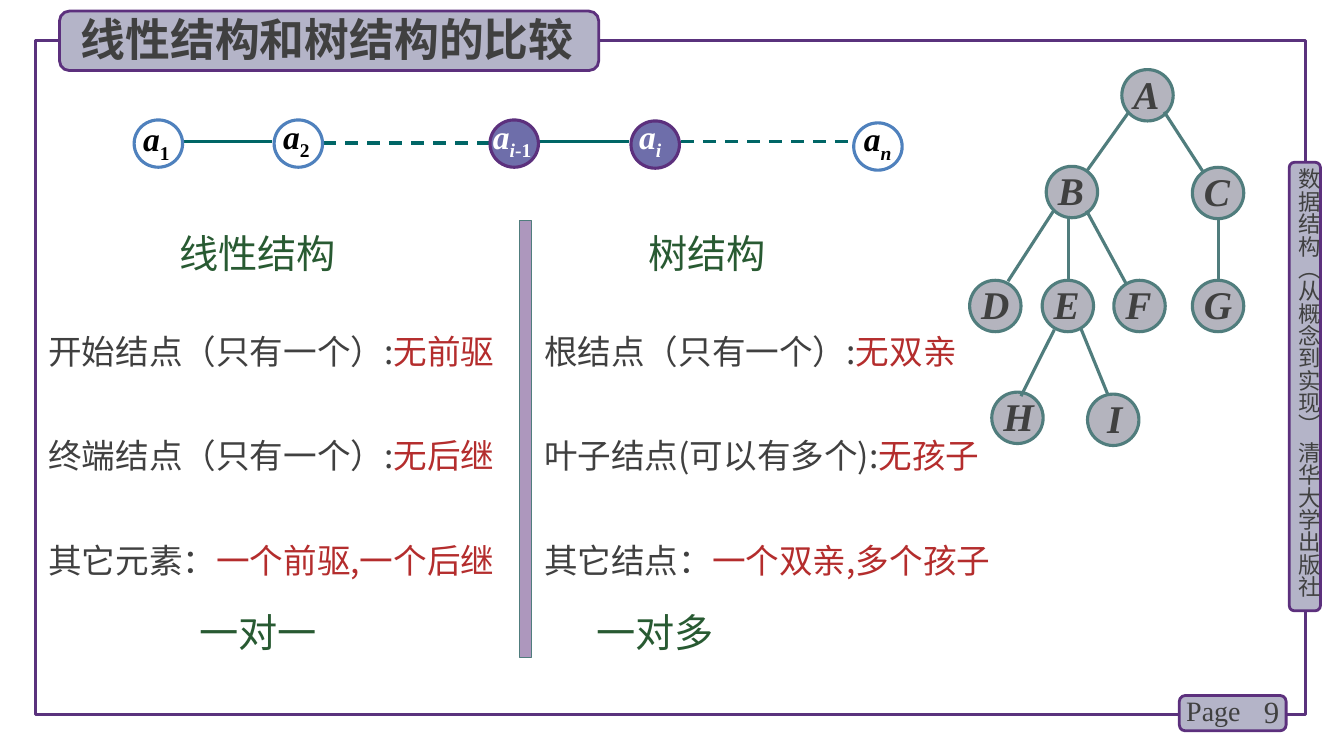
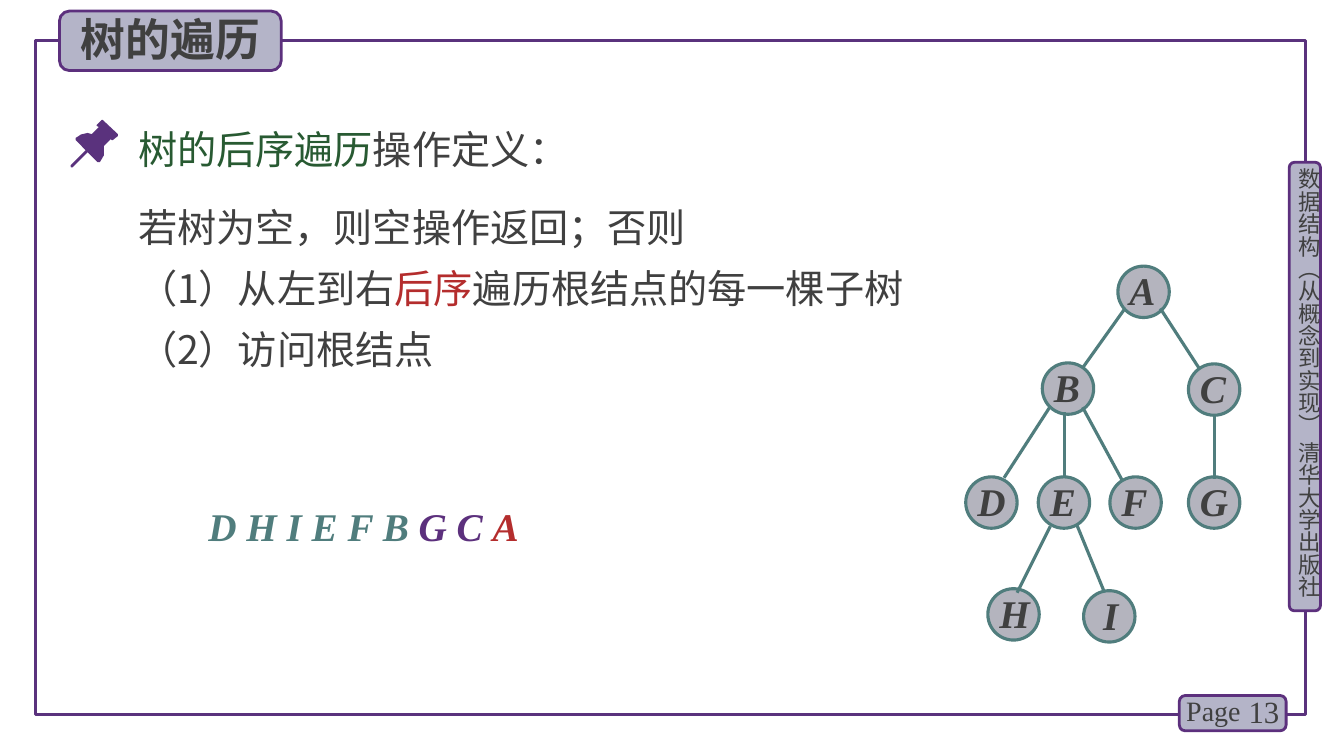
from lxml import etree
from pptx import Presentation
from pptx.dml.color import RGBColor
from pptx.enum.dml import MSO_LINE
from pptx.enum.shapes import MSO_CONNECTOR, MSO_SHAPE
from pptx.enum.text import MSO_ANCHOR, MSO_AUTO_SIZE, PP_ALIGN
from pptx.oxml.ns import qn
from pptx.util import Pt

RECT, ROUND, OVAL = MSO_SHAPE.RECTANGLE, MSO_SHAPE.ROUNDED_RECTANGLE, MSO_SHAPE.OVAL
STRAIGHT, DASH = MSO_CONNECTOR.STRAIGHT, MSO_LINE.DASH
TOP, MIDDLE = MSO_ANCHOR.TOP, MSO_ANCHOR.MIDDLE
LEFT, RIGHT, JUSTIFY = PP_ALIGN.LEFT, PP_ALIGN.RIGHT, PP_ALIGN.JUSTIFY
NO_FIT, GROW = MSO_AUTO_SIZE.NONE, MSO_AUTO_SIZE.SHAPE_TO_FIT_TEXT

SANS, SERIF = "Noto Sans CJK SC", "Times New Roman"
COLORS = {
    "text": "404040", "green": "285A32", "red": "B42D2D", "white": "FFFFFF",
    "black": "000000", "frame": "5A327D", "purple": "5C307D", "band": "B4B4C8",
    "node": "B4B4BE", "teal": "507D7D", "chain": "006666", "ring": "4F81BD",
    "active": "6E6EAA",
}
DEFAULT_INSETS = (7.2, 3.6, 7.2, 3.6)
NODE_SIZE = 36.7
RED = {"color": "red"}
SUB = {"baseline": -25000}
SUB_UPRIGHT = {"baseline": -25000, "italic": False}

# Tree: offsets from the top left corner of the drawing
TREE_NODES = {
    "A": (108.7, 0), "B": (54.7, 69.1), "C": (159.1, 69.8),
    "D": (0, 150.5), "E": (51.8, 150.5), "F": (103, 150.5), "G": (159.1, 150.5),
    "H": (15.8, 230.4), "I": (84.2, 231.8),
}
TREE_EDGES = [
    (113.8, 30.2, 83.5, 72.7), (139, 30.2, 167, 73.4), (177.8, 105.8, 177.8, 151.9),
    (70.6, 104.4, 70.6, 150.5), (83.5, 100.8, 111.6, 152.6), (60.5, 100.1, 27.4, 151.2),
    (79.2, 184.3, 98.6, 231.8), (60.5, 185.8, 36.7, 233.3),
]
PIN_HEAD = [
    (84.2, 95.8), (73.4, 85.7), (72.7, 85.7), (69.1, 89.3), (69.1, 90), (70.6, 90.7),
    (65.5, 95.8), (62.6, 95), (58, 96), (54, 98.6), (54, 100.1), (69.8, 115.9),
    (71.3, 115.9), (74.2, 111), (74.2, 104.4), (79.2, 99.4), (79.9, 100.1),
    (80.6, 100.1), (84.2, 97.2),
]
PIN_NEEDLE = [
    (50.4, 118.1), (50.6, 119.5), (51.8, 119.5), (63.4, 108), (63.4, 106.6), (61.9, 106.6),
]


def rgb(name):
    return RGBColor.from_string(COLORS[name])


def paint(shape, fill=None, line=None, width=2.25):
    shape.shadow.inherit = False
    if fill:
        shape.fill.solid()
        shape.fill.fore_color.rgb = rgb(fill)
    else:
        shape.fill.background()
    if line:
        shape.line.color.rgb = rgb(line)
        shape.line.width = Pt(width)
    else:
        shape.line.fill.background()


def add_figure(page, kind, area, fill=None, line=None, width=2.25):
    shape = page.shapes.add_shape(kind, *map(Pt, area))
    paint(shape, fill, line, width)
    return shape


def add_line(page, ends, color, dashed=False):
    line = page.shapes.add_connector(STRAIGHT, *map(Pt, ends))
    line.line.color.rgb = rgb(color)
    line.line.width = Pt(2.25)
    if dashed:
        line.line.dash_style = DASH
    etree.SubElement(line.element.spPr, qn("a:effectLst"))


def add_outline(page, points, color):
    corners = [(Pt(x), Pt(y)) for x, y in points]
    builder = page.shapes.build_freeform(*corners[0])
    builder.add_line_segments(corners[1:], close=True)
    paint(builder.convert_to_shape(), color)


def set_frame(frame, insets=DEFAULT_INSETS, anchor=TOP):
    frame.word_wrap = True
    frame.vertical_anchor = anchor
    frame.margin_left, frame.margin_top, frame.margin_right, frame.margin_bottom = map(Pt, insets)


def add_span(para, text, size, font=SANS, color="text", bold=False, italic=False, baseline=0):
    span = para.add_run()
    span.text = text
    span.font.size = Pt(size)
    span.font.bold, span.font.italic = bold, italic
    span.font.color.rgb = rgb(color)
    span.font.name = font
    properties = span.font._element
    etree.SubElement(properties, qn("a:ea")).set("typeface", SANS)
    if baseline:
        properties.set("baseline", str(baseline))


def fill_para(para, spans, style, align=LEFT, spacing=None):
    """Each span is a text with the changes it makes to the style."""
    para.alignment = align
    if spacing:
        para.line_spacing = spacing
    for text, changes in spans:
        add_span(para, text, **{**style, **changes})


def add_text(page, area, spans, style, align=LEFT, insets=DEFAULT_INSETS, anchor=TOP):
    box = page.shapes.add_textbox(*map(Pt, area))
    set_frame(box.text_frame, insets, anchor)
    fill_para(box.text_frame.paragraphs[0], spans, style, align)
    return box


def add_frame(page, number):
    # Border and side label
    add_figure(page, RECT, (25.2, 28.8, 907.2, 481.7), line="frame")
    add_figure(page, ROUND, (920.9, 115.9, 22.3, 320.4), "band", "purple", 2)
    label = add_text(page, (925.2, 120.2, 19.4, 323.3),
                     [("数据结构（从概念到实现） 清华大学出版社", {})], {"size": 16}, insets=(0, 0, 0, 0))
    label.text_frame.auto_size = GROW
    label.element.find(".//" + qn("a:bodyPr")).set("vert", "eaVert")
    # Page number
    add_figure(page, ROUND, (842.4, 496.8, 76.3, 25.2), "band", "purple", 2)
    add_text(page, (878.4, 493.9, 42.5, 28.8), [(str(number), {})],
             {"size": 22, "font": SERIF}, RIGHT, anchor=MIDDLE)
    add_text(page, (840.2, 491.8, 56.2, 31.7), [("Page", {})], {"size": 20, "font": SERIF})


def start_page(deck, title, number, band_width, title_width):
    page = deck.slides.add_slide(deck.slide_layouts[5])
    add_frame(page, number)
    add_figure(page, ROUND, (42.5, 7.9, band_width, 42.5), "band", "purple", 2)
    holder = page.shapes.title
    holder.left, holder.top, holder.width, holder.height = map(Pt, (50.4, 5, title_width, 46.1))
    set_frame(holder.text_frame)
    holder.text_frame.auto_size = NO_FIT
    fill_para(holder.text_frame.paragraphs[0], [(title, {})], {"size": 32, "bold": True})
    # Bring the title in front of its band
    page.shapes.element.append(holder.element)
    return page


def add_tree(page, left, top):
    style = {"size": 28, "font": SERIF, "bold": True, "italic": True}
    for letter, (x, y) in TREE_NODES.items():
        node = add_figure(page, OVAL, (left + x, top + y, NODE_SIZE, NODE_SIZE), "node", "teal")
        inset = 8.6 if letter == "I" else 2.9
        set_frame(node.text_frame, (inset, 1.4, 2.9, 2.9))
        fill_para(node.text_frame.paragraphs[0], [(letter, {})], style, spacing=0.8)
    for x1, y1, x2, y2 in TREE_EDGES:
        add_line(page, (left + x1, top + y1, left + x2, top + y2), "teal")


def add_chain(page):
    # Circle position, label position, subscript spans, highlighted
    nodes = [
        (95.8, 85.7, 101.5, 82.1, [("1", SUB_UPRIGHT)], False),
        (195.8, 85.7, 201.6, 80.6, [("2", SUB_UPRIGHT)], False),
        (350, 85.7, 351.4, 80.6, [("i", SUB), ("-1", SUB_UPRIGHT)], True),
        (450.7, 86.4, 455.8, 80.6, [("i", SUB)], True),
        (609.8, 87.8, 616.3, 82.1, [("n", SUB)], False),
    ]
    links = [(131, 194.4, 100.8, False), (231.1, 352.1, 102.2, True),
             (385.9, 449.3, 100.8, False), (486.7, 607.7, 100.8, True)]
    for x1, x2, y, dashed in links:
        add_line(page, (x1, y, x2, y), "chain", dashed)
    for x, y, label_x, label_y, subscript, active in nodes:
        fill, line = ("active", "purple") if active else (None, "ring")
        add_figure(page, OVAL, (x, y, 34.6, 33.8), fill, line)
        style = {"size": 24, "font": SERIF, "bold": True, "italic": True,
                 "color": "white" if active else "black"}
        add_text(page, (label_x, label_y, 44, 40.3), [("a", {})] + subscript, style,
                 insets=(0.7, 2.2, 0, 0.7))


def build_comparison(deck):
    page = start_page(deck, "线性结构和树结构的比较", 9, 385.2, 496.1)
    # Column headings and conclusions
    for text, x, y in [("线性结构", 121, 160.6), ("树结构", 455.8, 160.6),
                       ("一对一", 135.4, 431.3), ("一对多", 419, 431.3)]:
        add_text(page, (x, y, 165, 41), [(text, {})], {"size": 28, "color": "green"})
    # Rows: label and property for each structure
    columns = [
        (27.4, [("开始结点（只有一个）:", "无前驱", 341),
                ("终端结点（只有一个）:", "无后继", 341),
                ("其它元素：", "一个前驱,一个后继", 342.7)]),
        (381.6, [("根结点（只有一个）:", "无双亲", 311),
                 ("叶子结点(可以有多个):", "无孩子", 337.7),
                 ("其它结点：", "一个双亲,多个孩子", 345)]),
    ]
    for x, rows in columns:
        for index, (label, value, width) in enumerate(rows):
            add_text(page, (x, 232.5 + 74.9 * index, width, 36),
                     [(label, {}), (value, RED)], {"size": 24})
    add_tree(page, 692.6, 49.7)
    add_chain(page)
    # Half-transparent divider
    divider = add_figure(page, RECT, (370.8, 157.7, 8.6, 311.8), "purple", "teal", 0.75)
    tint = divider.element.spPr.find(qn("a:solidFill"))[0]
    etree.SubElement(tint, qn("a:alpha")).set("val", "50000")


def build_traversal(deck):
    page = start_page(deck, "树的遍历", 13, 158.4, 147.6)
    # Definition
    lines = [
        [("树的后序遍历", {"color": "green"}), ("操作定义：", {})],
        [("若树为空，则空操作返回；否则", {})],
        [("（1）从左到右", {}), ("后序", RED), ("遍历根结点的每一棵子树", {})],
        [("（2）访问根结点", {})],
    ]
    box = page.shapes.add_textbox(*map(Pt, (98.6, 75.6, 576.7, 195.8)))
    frame = box.text_frame
    set_frame(frame, (0, 3.6, 0, 3.6))
    for index, spans in enumerate(lines):
        para = frame.add_paragraph() if index else frame.paragraphs[0]
        fill_para(para, spans, {"size": 28}, JUSTIFY, 1.3)
    frame.paragraphs[0].space_after = Pt(12)
    # Pin
    for points in (PIN_HEAD, PIN_NEEDLE):
        add_outline(page, points, "frame")
    add_tree(page, 689.8, 190.1)
    # Visiting order
    add_text(page, (141.8, 355, 341.3, 41),
             [("D H I E F B ", {"color": "teal"}), ("G C ", {"color": "purple"}), ("A", RED)],
             {"size": 28, "font": SERIF, "bold": True, "italic": True}, JUSTIFY)


def main():
    deck = Presentation()
    deck.slide_width, deck.slide_height = Pt(960), Pt(540)
    build_comparison(deck)
    build_traversal(deck)
    deck.save("out.pptx")


if __name__ == "__main__":
    main()
